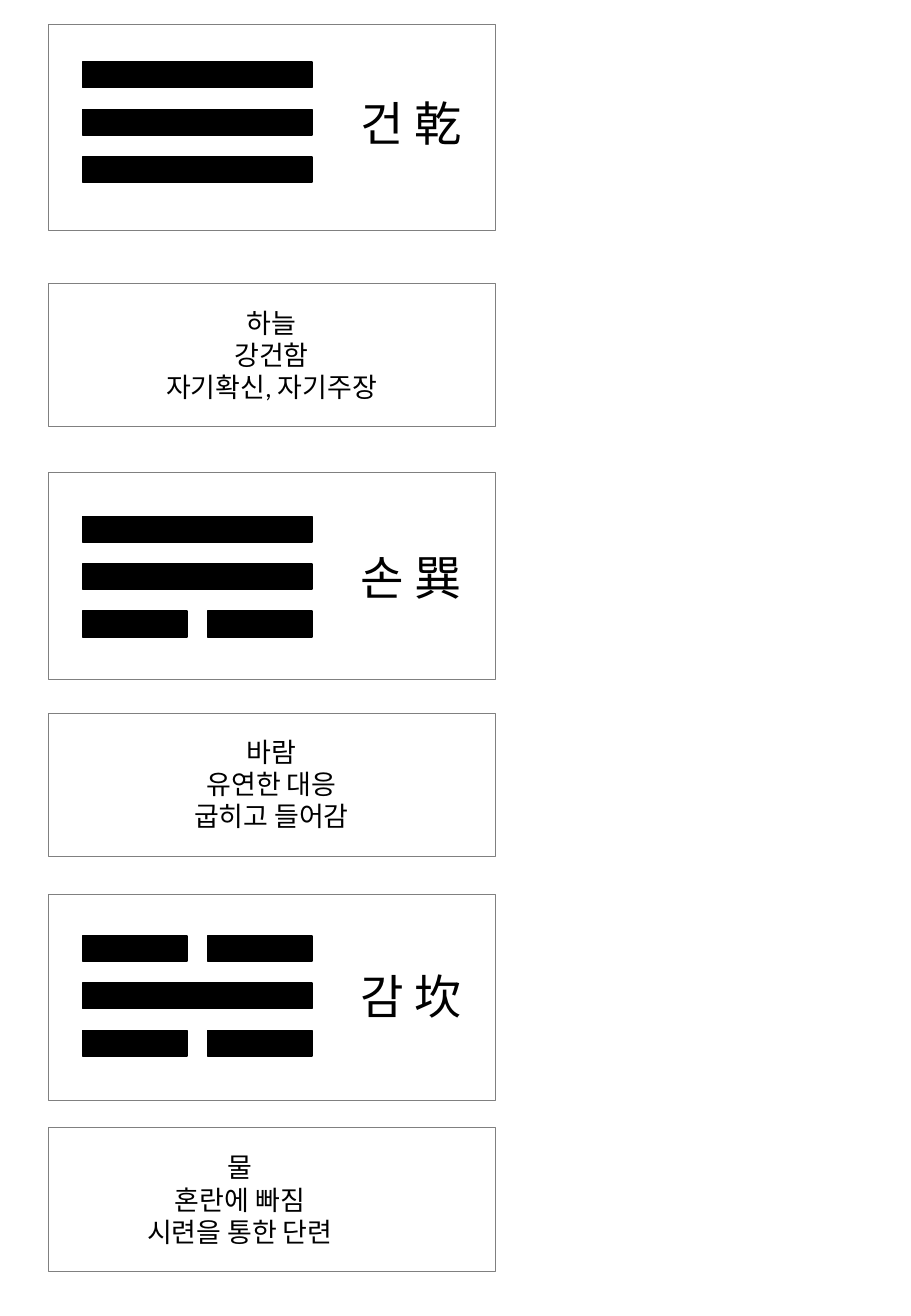
from dataclasses import dataclass
from typing import NamedTuple

from pptx import Presentation
from pptx.dml.color import RGBColor
from pptx.enum.shapes import MSO_SHAPE as Shape
from pptx.enum.text import MSO_ANCHOR as Anchor, PP_ALIGN as Align
from pptx.slide import Slide
from pptx.util import Inches, Pt

BLACK = RGBColor(0x00, 0x00, 0x00)
GRAY = RGBColor(0x80, 0x80, 0x80)
FONT = "Calibri"

PAGE_WIDTH, PAGE_HEIGHT = 7.5, 10.83

# Columns of the page, in inches
CARD_LEFT, CARD_WIDTH = 0.4, 3.68
BAR_LEFT, BAR_WIDTH = 0.68, 1.89
NAME_LEFT, NAME_WIDTH = 2.8, 1.17
MEANING_WIDTH = 2.59

# Rows within each card
SIGN_HEIGHT, MEANING_HEIGHT = 1.7, 1.18
BAR_HEIGHT, BAR_PITCH, BAR_GAP = 0.21, 0.39, 0.17
NAME_HEIGHT, MEANING_TEXT_HEIGHT = 0.99, 0.91


class Area(NamedTuple):
    """A rectangle on the page, in inches."""
    left: float
    top: float
    width: float
    height: float

    def emu(self) -> list[int]:
        """Return the four lengths in the unit of the file."""
        return [Inches(length) for length in self]


@dataclass(frozen=True)
class Trigram:
    """A sign of three lines; 1 marks a whole line, 2 a broken one."""
    name: str
    lines: tuple[int, int, int]
    meanings: tuple[str, ...]
    sign_top: float
    bars_top: float
    meaning_top: float
    text_left: float
    text_top: float


TRIGRAMS = (
    Trigram("건 乾", (1, 1, 1), ("하늘", "강건함", "자기확신, 자기주장"),
            0.2, 0.51, 2.33, 0.94, 2.47),
    Trigram("손 巽", (1, 1, 2), ("바람", "유연한 대응", "굽히고 들어감"),
            3.89, 4.25, 5.87, 0.94, 6.0),
    Trigram("감 坎", (2, 1, 2), ("물", "혼란에 빠짐", "시련을 통한 단련"),
            7.36, 7.7, 9.28, 0.68, 9.42),
)


def add_rectangle(page: Slide, area: Area, line: RGBColor, weight: float,
                  fill: RGBColor | None = None) -> None:
    """Draw a rectangle, hollow unless a fill is given."""
    box = page.shapes.add_shape(Shape.RECTANGLE, *area.emu())
    box.shadow.inherit = False
    if fill is None:
        box.fill.background()
    else:
        box.fill.solid()
        box.fill.fore_color.rgb = fill
    box.line.color.rgb = line
    box.line.width = Pt(weight)


def add_text(page: Slide, area: Area, *paragraphs: str, size: float,
             anchor: Anchor = Anchor.TOP, align: Align = Align.CENTER,
             color: RGBColor = BLACK) -> None:
    """Write one paragraph for each string."""
    frame = page.shapes.add_textbox(*area.emu()).text_frame
    frame.word_wrap = True
    frame.vertical_anchor = anchor
    for index, text in enumerate(paragraphs):
        para = frame.add_paragraph() if index else frame.paragraphs[0]
        para.alignment = align
        span = para.add_run()
        span.text = text
        span.font.name = FONT
        span.font.size = Pt(size)
        span.font.color.rgb = color


def add_bars(page: Slide, trigram: Trigram) -> None:
    """Stack the three lines of a sign, each in one or two parts."""
    for row, parts in enumerate(trigram.lines):
        width = (BAR_WIDTH - BAR_GAP * (parts - 1)) / parts
        top = trigram.bars_top + row * BAR_PITCH
        for part in range(parts):
            left = BAR_LEFT + part * (width + BAR_GAP)
            add_rectangle(page, Area(left, top, width, BAR_HEIGHT),
                          BLACK, 1, fill=BLACK)


def add_trigram(page: Slide, trigram: Trigram) -> None:
    """Draw the card of a sign and the card of its meanings."""
    for top, height in ((trigram.sign_top, SIGN_HEIGHT),
                        (trigram.meaning_top, MEANING_HEIGHT)):
        add_rectangle(page, Area(CARD_LEFT, top, CARD_WIDTH, height), GRAY, 0.5)
    add_bars(page, trigram)
    add_text(page, Area(NAME_LEFT, trigram.bars_top, NAME_WIDTH, NAME_HEIGHT),
             trigram.name, size=28, anchor=Anchor.MIDDLE)
    add_text(page, Area(trigram.text_left, trigram.text_top,
                        MEANING_WIDTH, MEANING_TEXT_HEIGHT),
             *trigram.meanings, size=16)


def main() -> None:
    """Build the page of trigram cards."""
    deck = Presentation()
    deck.slide_width, deck.slide_height = Inches(PAGE_WIDTH), Inches(PAGE_HEIGHT)
    page = deck.slides.add_slide(deck.slide_layouts[6])
    for trigram in TRIGRAMS:
        add_trigram(page, trigram)
    deck.save("out.pptx")


main()
